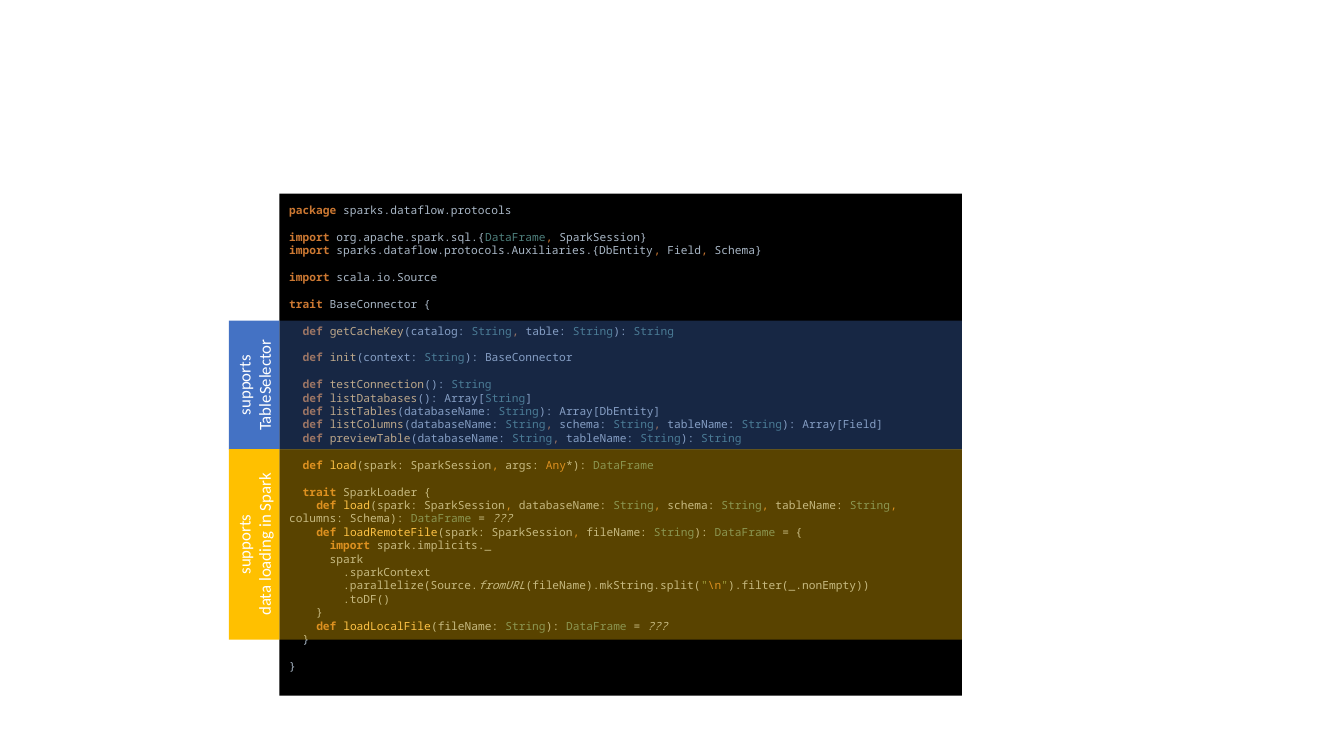
"""Build the slide that maps a connector trait's code to what it supports."""
from dataclasses import dataclass
from itertools import groupby
from typing import Iterator, Optional

from lxml import etree
from pptx import Presentation
from pptx.dml.color import RGBColor
from pptx.enum.shapes import MSO_SHAPE
from pptx.enum.text import MSO_ANCHOR, PP_ALIGN
from pptx.oxml.ns import qn
from pptx.shapes.autoshape import Shape
from pptx.slide import Slide
from pptx.util import Cm, Pt

RECT = MSO_SHAPE.RECTANGLE
MIDDLE = MSO_ANCHOR.MIDDLE
LEFT, CENTER = PP_ALIGN.LEFT, PP_ALIGN.CENTER

PLAIN, ORANGE, TEAL = "A9B7C6", "CC7832", "4E807D"
YELLOW, GREEN = "FFC66D", "6A8759"
KEYS = {"package", "import", "trait", "def"}
SLANTED = {"fromURL", "???"}
HUES = {
    **dict.fromkeys(KEYS | {",", "Any", "\\n"}, ORANGE),
    **dict.fromkeys(("String", "DataFrame"), TEAL),
    '"': GREEN,
}

CODE_X, CODE_Y, CODE_W, CODE_H = 7.04, 4.88, 17.2, 12.65
TAB_W = 1.27

CODE = (
    "package sparks.dataflow.protocols",
    "",
    "import org.apache.spark.sql.{DataFrame, SparkSession}",
    "import sparks.dataflow.protocols.Auxiliaries.{DbEntity, Field, Schema}",
    "",
    "import scala.io.Source",
    "",
    "trait BaseConnector {",
    "",
    "  def getCacheKey(catalog: String, table: String): String",
    "",
    "  def init(context: String): BaseConnector",
    "",
    "  def testConnection(): String",
    "  def listDatabases(): Array[String]",
    "  def listTables(databaseName: String): Array[DbEntity]",
    "  def listColumns(databaseName: String, schema: String, tableName: String): Array[Field]",
    "  def previewTable(databaseName: String, tableName: String): String",
    "",
    "  def load(spark: SparkSession, args: Any*): DataFrame",
    "",
    "  trait SparkLoader {",
    "    def load(spark: SparkSession, databaseName: String, schema: String, "
    "tableName: String, columns: Schema): DataFrame = ???",
    "    def loadRemoteFile(spark: SparkSession, fileName: String): DataFrame = {",
    "      import spark.implicits._",
    "      spark",
    "        .sparkContext",
    r'        .parallelize(Source.fromURL(fileName).mkString.split("\n").filter(_.nonEmpty))',
    "        .toDF()",
    "    }",
    "    def loadLocalFile(fileName: String): DataFrame = ???",
    "  }",
    "",
    "}",
    "",
)


@dataclass(frozen=True)
class Style:
    hue: str = PLAIN
    bold: bool = False
    slant: bool = False


@dataclass(frozen=True)
class Band:
    top: float
    height: float
    hue: str
    lines: tuple[str, ...]


BANDS = (
    Band(8.08, 3.25, "4472C4", ("supports", "TableSelector")),
    Band(11.32, 4.8, "FFC000", ("supports", "data loading in Spark")),
)


def color(code: str) -> RGBColor:
    return RGBColor.from_string(code)


def add_box(slide: Slide, x: float, y: float, w: float, h: float,
            hue: str, alpha: Optional[int] = None) -> Shape:
    box = slide.shapes.add_shape(RECT, Cm(x), Cm(y), Cm(w), Cm(h))
    box.shadow.inherit = False
    box.line.fill.background()
    box.fill.solid()
    box.fill.fore_color.rgb = color(hue)
    if alpha is not None:
        tint = box.fill._xPr.find(qn("a:solidFill"))[0]
        etree.SubElement(tint, qn("a:alpha")).set("val", str(alpha * 1000))
    box.text_frame.word_wrap = True
    box.text_frame.vertical_anchor = MIDDLE
    return box


def char_kind(char: str) -> str:
    return "word" if char.isalnum() or char in "_\\" else char


def tokens(line: str) -> Iterator[tuple[Style, str]]:
    last = ""
    for kind, chars in groupby(line, char_kind):
        word = "".join(chars)
        hue = YELLOW if last == "def" and kind == "word" else HUES.get(word, PLAIN)
        yield Style(hue, word in KEYS, word in SLANTED), word
        if kind == "word":
            last = word


def add_code(slide: Slide) -> None:
    box = add_box(slide, CODE_X, CODE_Y, CODE_W, CODE_H, "000000")
    para = box.text_frame.paragraphs[0]
    para.alignment = LEFT
    para.font.name = "Noto Sans Mono"
    para.font.size = Pt(8)
    for row, line in enumerate(CODE):
        if row:
            para.add_line_break()
        for style, group in groupby(tokens(line), lambda pair: pair[0]):
            run = para.add_run()
            run.text = "".join(word for _, word in group)
            run.font.color.rgb = color(style.hue)
            run.font.bold = style.bold
            run.font.italic = style.slant


def add_band(slide: Slide, band: Band) -> None:
    add_box(slide, CODE_X, band.top, CODE_W, band.height, band.hue, 35)
    tab = add_box(slide, CODE_X - TAB_W, band.top, TAB_W, band.height, band.hue)
    frame = tab.text_frame
    frame._txBody.bodyPr.set("vert", "vert270")
    for row, line in enumerate(band.lines):
        para = frame.add_paragraph() if row else frame.paragraphs[0]
        para.text = line
        para.alignment = CENTER
        para.font.name = "Calibri"
        para.font.size = Pt(12)
        para.font.color.rgb = color("FFFFFF")


def main() -> None:
    deck = Presentation()
    deck.slide_width, deck.slide_height = Cm(33.87), Cm(19.05)
    slide = deck.slides.add_slide(deck.slide_layouts[6])
    add_code(slide)
    for band in BANDS:
        add_band(slide, band)
    deck.save("out.pptx")


if __name__ == "__main__":
    main()
